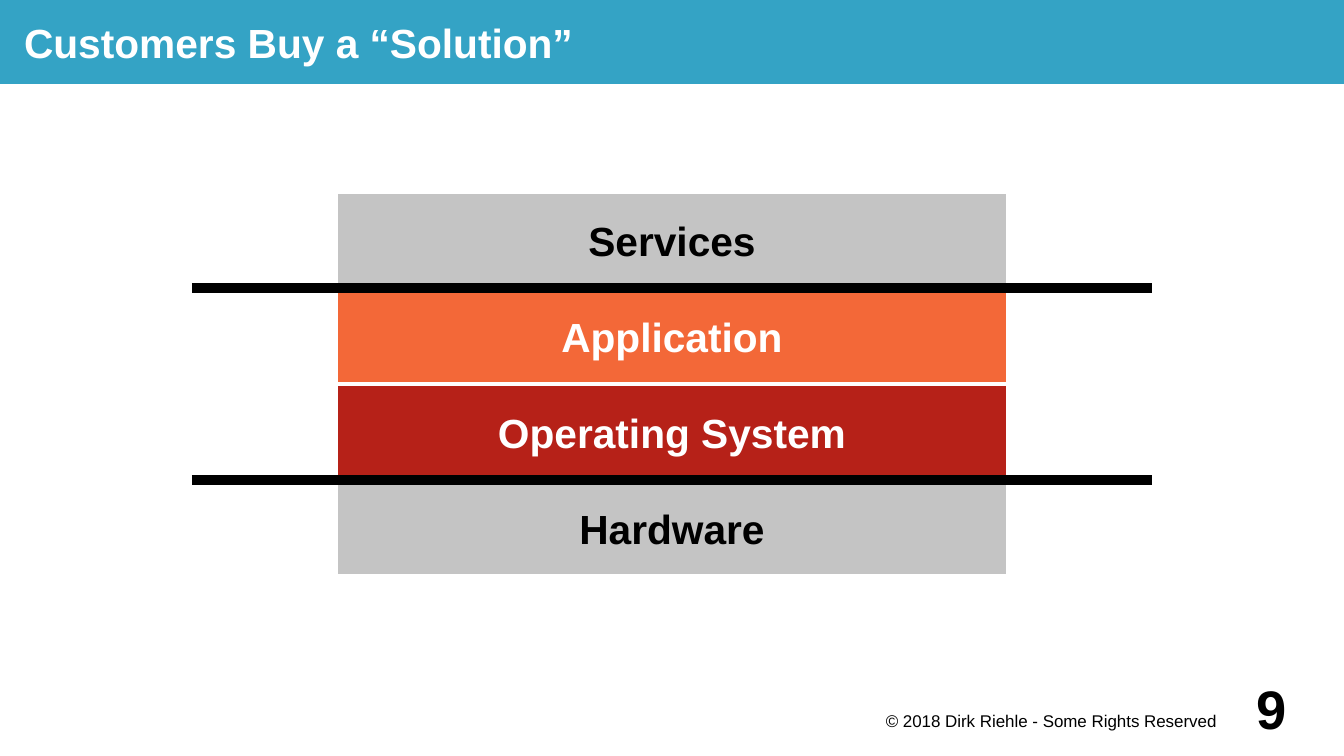
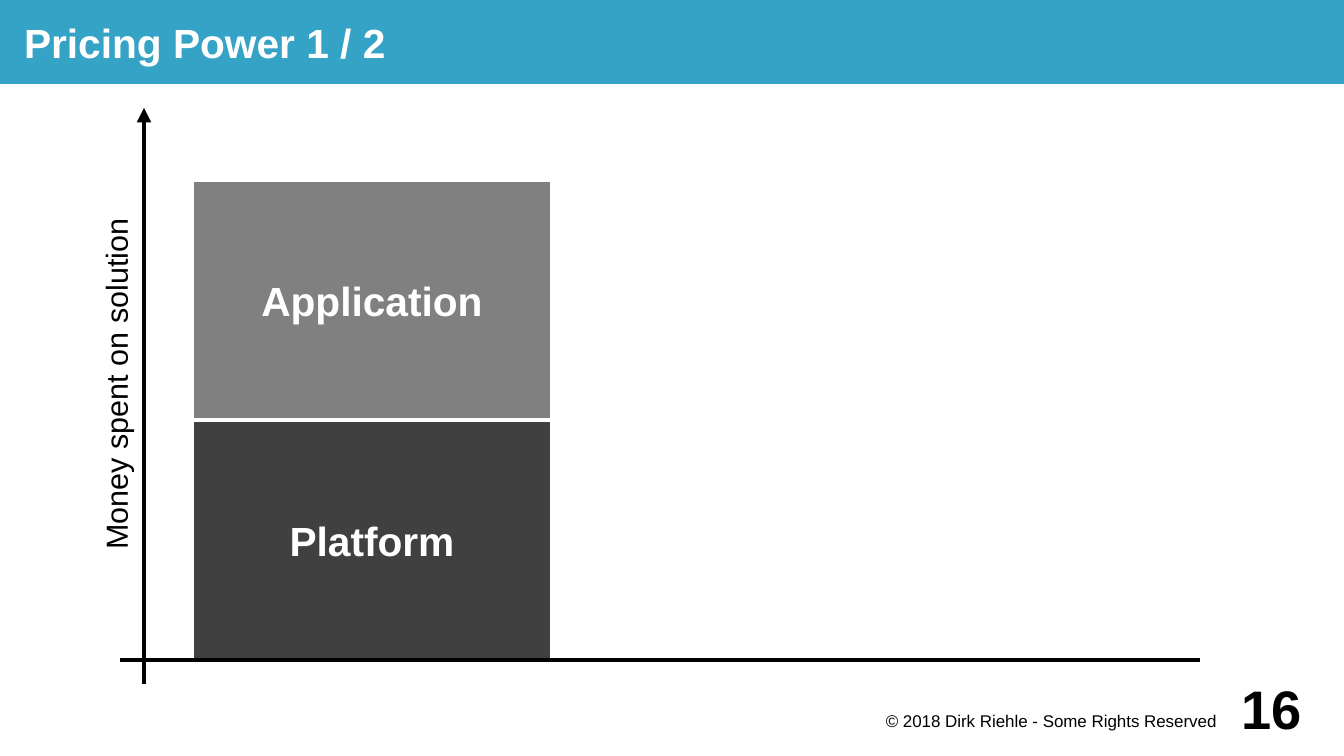
from pptx import Presentation
from pptx import util as u
from pptx.dml.color import RGBColor
from pptx.enum import shapes, text
from pptx.oxml.ns import qn
from lxml import etree


class Theme:
    font = "Arial"
    band, white, black = "34A3C5", "FFFFFF", "000000"
    grey, orange, red = "C4C4C4", "F36838", "B62118"
    mid, dark = "808080", "404040"
    head, label, note, page = 24, 18, 10, 32
    thin, thick = 2.83, 5.67


PX = 914400 / 122  # EMU in one px
MID = text.MSO_ANCHOR.MIDDLE
LOW = text.MSO_ANCHOR.BOTTOM
TOP = text.MSO_ANCHOR.TOP
LEFT, CENTER = text.PP_ALIGN.LEFT, text.PP_ALIGN.CENTER


def px(*nums):
    return [u.Emu(round(n * PX)) for n in nums]


def write(shape, words, size=Theme.head, color=Theme.black, bold=False,
          align=CENTER, anchor=MID, pad=(0, 0, 0, 0), wrap=True):
    frame = shape.text_frame
    frame.auto_size = text.MSO_AUTO_SIZE.NONE
    frame.word_wrap = wrap
    frame.vertical_anchor = anchor
    (frame.margin_left, frame.margin_top,
     frame.margin_right, frame.margin_bottom) = px(*pad)
    para = frame.paragraphs[0]
    para.alignment = align
    run = para.add_run()
    run.text = words
    font = run.font
    font.name, font.size, font.bold = Theme.font, u.Pt(size), bold
    font.color.rgb = RGBColor.from_string(color)


# Boxes: words, place, fill, text colour
names = [("Services", Theme.grey, Theme.black),
         ("Application", Theme.orange, Theme.white),
         ("Operating System", Theme.red, Theme.white),
         ("Hardware", Theme.grey, Theme.black)]
stack = [(name, (336, 192 + 96 * i, 672, 96), fill, ink)
         for i, (name, fill, ink) in enumerate(names)]
bars = [("Platform", (192, 420, 360, 240), Theme.dark, Theme.white),
        ("Application", (192, 180, 360, 240), Theme.mid, Theme.white)]

# Lines: ends, width, arrowhead
cuts = [((192, y, 1152, y), Theme.thick, False) for y in (288, 480)]
axes = [((144, 684, 144, 108), Theme.thin, True),
        ((120, 660, 1200, 660), Theme.thin, False)]

pages = [("Customers Buy a “Solution”", "9", stack, cuts, None),
         ("Pricing Power 1 / 2", "16", bars, axes, "Money spent on solution")]

deck = Presentation()
deck.slide_width, deck.slide_height = px(1344, 756)

for head, number, boxes, lines, label in pages:
    slide = deck.slides.add_slide(deck.slide_layouts[5])

    # Title band
    title = slide.shapes.title
    title.left, title.top, title.width, title.height = px(0, 0, 1344, 84)
    title.fill.solid()
    title.fill.fore_color.rgb = RGBColor.from_string(Theme.band)
    write(title, head, color=Theme.white, bold=True, align=LEFT,
          pad=(24, 0, 0, 0))

    # Boxes
    for name, place, fill, ink in boxes:
        box = slide.shapes.add_shape(shapes.MSO_SHAPE.RECTANGLE, *px(*place))
        box.shadow.inherit = False
        box.fill.solid()
        box.fill.fore_color.rgb = RGBColor.from_string(fill)
        box.line.color.rgb = RGBColor.from_string(Theme.white)
        box.line.width = u.Pt(Theme.thin)
        write(box, name, color=ink, bold=True, pad=(15, 9, 15, 9), wrap=False)

    # Lines
    for ends, width, arrow in lines:
        line = slide.shapes.add_connector(shapes.MSO_CONNECTOR.STRAIGHT,
                                          *px(*ends))
        line.line.color.rgb = RGBColor.from_string(Theme.black)
        line.line.width = u.Pt(width)
        if arrow:
            etree.SubElement(line.line._get_or_add_ln(), qn("a:tailEnd"),
                             type="triangle")
        etree.SubElement(line._element.spPr, qn("a:effectLst"))

    # Axis label
    if label:
        side = slide.shapes.add_textbox(*px(-168, 348, 552, 72))
        side.rotation = 270
        write(side, label, size=Theme.label, anchor=LOW, pad=(10, 10, 10, 10))

    # Footer
    note = slide.shapes.add_textbox(*px(864, 709, 384, 36))
    write(note, "© 2018 Dirk Riehle - Some Rights Reserved", size=Theme.note,
          anchor=TOP, pad=(0, 2, 10, 0))
    page = slide.shapes.add_textbox(*px(1224, 672, 96, 72))
    write(page, number, size=Theme.page, bold=True)

deck.save("out.pptx")
